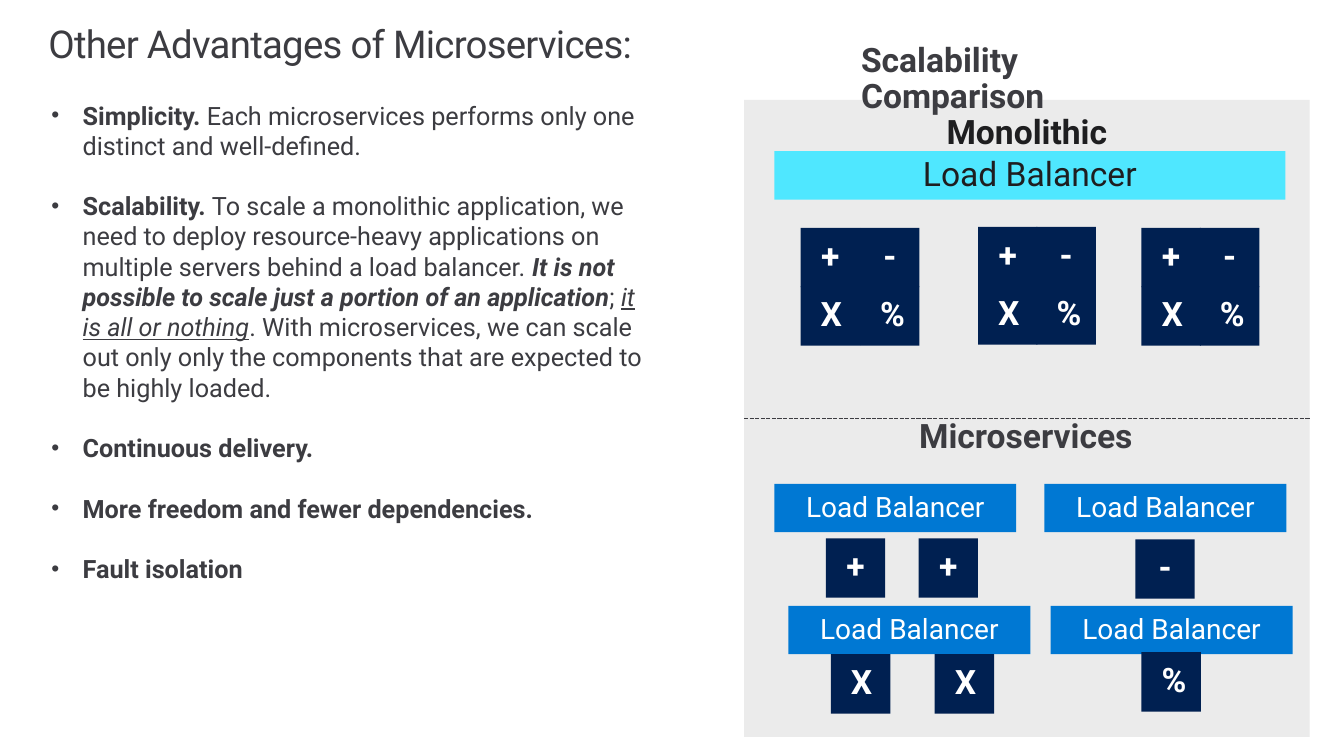
from dataclasses import dataclass

from lxml.etree import SubElement
from pptx import Presentation
from pptx.dml.color import RGBColor
from pptx.enum.dml import MSO_LINE
from pptx.enum.shapes import MSO_CONNECTOR, MSO_SHAPE
from pptx.enum.text import MSO_ANCHOR, MSO_AUTO_SIZE, PP_ALIGN
from pptx.oxml.ns import qn
from pptx.util import Inches, Pt

FONT = "Roboto"
GRAY, BLACK, WHITE = "3C3C41", "1E1E20", "FFFFFF"
PANEL, CYAN, BLUE, NAVY = "EBEBEB", "4FE7FF", "0078D3", "002051"
TILE = 0.59
BAR_HEIGHT = 0.48
SHAPE_INSETS = (0.2, 0.16, 0.2, 0.16)
PLACEHOLDER_INSETS = (0, 0.1, 0.16, 0.1)


@dataclass
class Server:
    """A monolithic server: a square block of four functions."""
    left: float
    top: float
    step: float


@dataclass
class Service:
    """A load balancer with the tiles of one function below it."""
    left: float
    top: float
    symbol: str
    tile_top: float
    tile_lefts: tuple[float, ...]


SERVERS = [Server(7.94, 2.26, 0.59), Server(9.7, 2.25, 0.58), Server(11.32, 2.26, 0.58)]
SERVICES = [
    Service(7.68, 4.8, "+", 5.34, (8.19, 9.11)),
    Service(10.36, 4.8, "-", 5.35, (11.26,)),
    Service(7.82, 6.01, "X", 6.49, (8.24, 9.27)),
    Service(10.42, 6.01, "%", 6.47, (11.32,)),
]

BOLD, PLAIN = {"bold": True}, {}
ADVANTAGES = [
    [("Simplicity. ", BOLD),
     ("Each microservices performs only one distinct and well-defined.", PLAIN)],
    [("Scalability. ", BOLD),
     ("To scale a monolithic application, we need to deploy resource-heavy "
      "applications on multiple servers behind a load balancer. ", PLAIN),
     ("It is not possible to scale just a portion of an application",
      {"bold": True, "italic": True}),
     ("; ", PLAIN),
     ("it is all or nothing", {"italic": True, "underline": True}),
     (". With microservices, we can scale out only only the components that are "
      "expected to be highly loaded.", PLAIN)],
    [("Continuous delivery.", BOLD)],
    [("More freedom and fewer dependencies.", BOLD)],
    [("Fault isolation", BOLD)],
]


def color(value: str) -> RGBColor:
    return RGBColor.from_string(value)


def add_span(para, text: str, size: float, hex_color: str, **formats):
    span = para.add_run()
    span.text = text
    values = {"name": FONT, "size": Pt(size), "bold": False, **formats}
    for name, value in values.items():
        setattr(span.font, name, value)
    span.font.color.rgb = color(hex_color)
    return span


def set_frame(shape, insets: tuple, anchor=MSO_ANCHOR.TOP):
    frame = shape.text_frame
    values = dict(zip(("margin_left", "margin_top", "margin_right", "margin_bottom"),
                      map(Inches, insets)))
    values |= {"word_wrap": True, "auto_size": MSO_AUTO_SIZE.NONE, "vertical_anchor": anchor}
    for name, value in values.items():
        setattr(frame, name, value)
    return frame


def add_box(slide, left: float, top: float, width: float, height: float, fill: str,
            text: str, size: float = 24, hex_color: str = WHITE, bold: bool = False,
            anchor=MSO_ANCHOR.MIDDLE) -> None:
    box = slide.shapes.add_shape(MSO_SHAPE.RECTANGLE, *map(Inches, (left, top, width, height)))
    box.shadow.inherit = False
    box.fill.solid()
    box.fill.fore_color.rgb = color(fill)
    box.line.fill.background()
    para = set_frame(box, SHAPE_INSETS, anchor).paragraphs[0]
    para.alignment = PP_ALIGN.CENTER
    para.line_spacing = 0.9
    add_span(para, text, size, hex_color, bold=bold)


def add_tile(slide, left: float, top: float, symbol: str) -> None:
    add_box(slide, left, top, TILE, TILE, NAVY, symbol, bold=True)


def add_heading(slide, left: float, top: float, width: float, text: str, alignment) -> None:
    box = slide.shapes.add_textbox(*map(Inches, (left, top, width, 0.69)))
    para = set_frame(box, SHAPE_INSETS).paragraphs[0]
    para.alignment = alignment
    para.line_spacing = 0.9
    add_span(para, text, 24, GRAY, bold=True)


def add_bullet(para) -> None:
    properties = para._p.get_or_add_pPr()
    properties.set("marL", str(Inches(0.31)))
    properties.set("indent", str(-Inches(0.31)))
    SubElement(properties, qn("a:buSzPct"), val="90000")
    SubElement(properties, qn("a:buFont"), typeface="Arial")
    SubElement(properties, qn("a:buChar"), char="•")


def add_title(slide) -> None:
    title = slide.shapes.title
    title.left, title.top, title.width, title.height = map(Inches, (0.48, 0.15, 12.36, 0.89))
    para = set_frame(title, PLACEHOLDER_INSETS).paragraphs[0]
    para.alignment = PP_ALIGN.LEFT
    para.line_spacing = 0.9
    span = add_span(para, "Other Advantages of Microservices:", 27.4, GRAY)
    span.font._element.set("spc", "-50")


def add_advantages(slide) -> None:
    box = slide.shapes.add_textbox(*map(Inches, (0.51, 0.89, 6.09, 5.05)))
    frame = set_frame(box, PLACEHOLDER_INSETS)
    for index, spans in enumerate(ADVANTAGES):
        para = frame.add_paragraph() if index else frame.paragraphs[0]
        add_bullet(para)
        if index:
            para.space_before = Pt(21.6)
        for text, formats in spans:
            add_span(para, text, 18, GRAY, **formats)


def add_divider(slide) -> None:
    divider = slide.shapes.add_connector(
        MSO_CONNECTOR.STRAIGHT, *map(Inches, (7.38, 4.15, 12.99, 4.15)))
    divider.line.color.rgb = color(GRAY)
    divider.line.width = Pt(1)
    divider.line.dash_style = MSO_LINE.SQUARE_DOT
    SubElement(divider._element.spPr, qn("a:effectLst"))


def main() -> None:
    deck = Presentation()
    deck.slide_width, deck.slide_height = Inches(13.33), Inches(7.5)
    slide = deck.slides.add_slide(deck.slide_layouts[5])

    # Title and list of advantages
    add_title(slide)
    add_advantages(slide)

    # Monolithic half of the comparison
    add_box(slide, 7.38, 0.99, 5.61, 6.32, PANEL, "Monolithic",
            hex_color=BLACK, bold=True, anchor=MSO_ANCHOR.TOP)
    add_heading(slide, 8.34, 0.27, 3.57, "Scalability Comparison", PP_ALIGN.LEFT)
    add_box(slide, 7.68, 1.5, 5.07, BAR_HEIGHT, CYAN, "Load Balancer", hex_color=BLACK)
    for server in SERVERS:
        for index, symbol in enumerate("+-X%"):
            row, column = divmod(index, 2)
            add_tile(slide, server.left + column * server.step,
                     server.top + row * 0.58, symbol)

    # Microservices half of the comparison
    add_divider(slide)
    add_heading(slide, 8.78, 4, 2.79, "Microservices", PP_ALIGN.CENTER)
    for service in SERVICES:
        add_box(slide, service.left, service.top, 2.4, BAR_HEIGHT, BLUE, "Load Balancer", 20)
        for left in service.tile_lefts:
            add_tile(slide, left, service.tile_top, service.symbol)

    deck.save("out.pptx")


if __name__ == "__main__":
    main()
